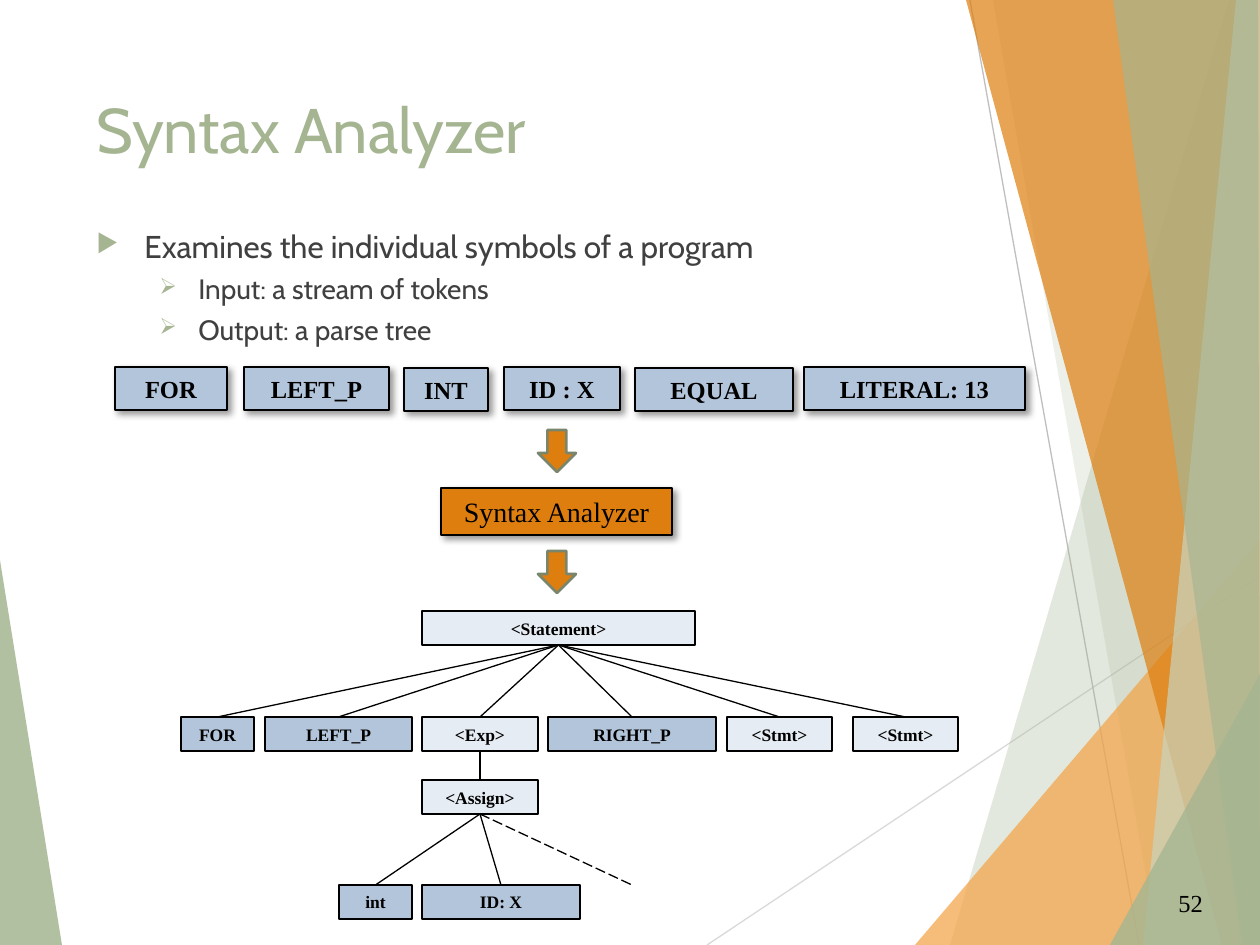
from lxml.etree import SubElement
from pptx import Presentation
from pptx.dml.color import RGBColor
from pptx.enum.dml import MSO_LINE
from pptx.enum.shapes import MSO_CONNECTOR, MSO_SHAPE
from pptx.enum.text import MSO_ANCHOR, PP_ALIGN
from pptx.oxml.ns import qn
from pptx.util import Pt

PX = 914400 / 126
SAGE, ORANGE, BLUE, PALE = "A5B592", "DD7E0E", "B3C5DA", "E6ECF3"
BLACK, DARK = "000000", "404040"
SERIF, SANS = "Times New Roman", "Cabin"


def emu(pixels):
    return round(pixels * PX)


def rgb(code):
    return RGBColor.from_string(code)


def add_xml(parent, tag, **attributes):
    return SubElement(parent, qn(tag), {k: str(v) for k, v in attributes.items()})


def write(frame, text, size=14, font=SERIF, color=BLACK, bold=False,
          align=PP_ALIGN.LEFT, before=0, level=0, indent=None, bullet=None, more=False):
    paragraph = frame.add_paragraph() if more else frame.paragraphs[0]
    paragraph.alignment, paragraph.level = align, level
    paragraph.space_before = Pt(before)
    run = paragraph.add_run()
    run.text = text
    run.font.size, run.font.name, run.font.bold = Pt(size), font, bold
    run.font.color.rgb = rgb(color)
    if bullet:
        props = paragraph._p.get_or_add_pPr()
        left, hanging = indent
        props.set("marL", str(emu(left)))
        props.set("indent", str(-emu(hanging)))
        add_xml(add_xml(props, "a:buClr"), "a:srgbClr", val=SAGE)
        add_xml(props, "a:buSzPct", val=80000)
        add_xml(props, "a:buChar", char=bullet)


class Board:
    def __init__(self, slide):
        self.shapes = slide.shapes

    def paint(self, shape, fill, line=None, width=1, alpha=100):
        shape.shadow.inherit = False
        shape.fill.solid()
        shape.fill.fore_color.rgb = rgb(fill)
        if alpha < 100:
            color = shape._element.spPr.find(qn("a:solidFill"))[0]
            add_xml(color, "a:alpha", val=alpha * 1000)
        if line:
            shape.line.color.rgb = rgb(line)
            shape.line.width = Pt(width)
        else:
            shape.line.fill.background()
        return shape

    def facet(self, points, fill, alpha):
        builder = self.shapes.build_freeform(*points[0], scale=PX)
        builder.add_line_segments(points[1:], close=True)
        self.paint(builder.convert_to_shape(), fill, alpha=alpha)

    def text(self, x, y, w, h):
        frame = self.shapes.add_textbox(*map(emu, (x, y, w, h))).text_frame
        frame.word_wrap = True
        return frame

    def shape(self, kind, x, y, w, h, fill, line=BLACK, width=1):
        shape = self.shapes.add_shape(kind, *map(emu, (x, y, w, h)))
        return self.paint(shape, fill, line, width)

    def box(self, label, x, y, w, h, fill, size, bold=True, width=1, shadow=False):
        box = self.shape(MSO_SHAPE.RECTANGLE, x, y, w, h, fill, width=width)
        frame = box.text_frame
        frame.margin_left = frame.margin_right = frame.margin_top = frame.margin_bottom = 0
        frame.vertical_anchor = MSO_ANCHOR.MIDDLE
        write(frame, label, size=size, bold=bold, align=PP_ALIGN.CENTER)
        if shadow:
            effects = box._element.spPr.find(qn("a:effectLst"))
            outer = add_xml(effects, "a:outerShdw", blurRad=Pt(4), dist=Pt(3),
                            dir=45 * 60000, algn="tl", rotWithShape=0)
            add_xml(add_xml(outer, "a:srgbClr", val=BLACK), "a:alpha", val=40000)
        return box

    def line(self, start, end, color=BLACK):
        line = self.shapes.add_connector(MSO_CONNECTOR.STRAIGHT, *map(emu, start + end))
        line.line.color.rgb = rgb(color)
        line.line.width = Pt(0.75)
        add_xml(line._element.spPr, "a:effectLst")
        return line

    def branch(self, parent, child):
        line = self.line((0, 0), (0, 0))
        line.begin_connect(parent, 2)
        line.end_connect(child, 0)


deck = Presentation()
deck.slide_width, deck.slide_height = emu(1260), emu(945)
board = Board(deck.slides.add_slide(deck.slide_layouts[6]))

# Background facets
board.facet([(0, 560), (62, 945), (0, 945)], SAGE, 85)
board.line((707, 945), (1260, 576), "D9D9D9")
board.line((970, 0), (1139, 945), "BFBFBF")
for points, fill, alpha in [
    ([(1229, 0), (950, 945), (1260, 945), (1260, 0)], SAGE, 30),
    ([(993, 0), (1158, 945), (1260, 945), (1260, 0)], SAGE, 20),
    ([(915, 945), (1260, 540), (1260, 945)], "F3A447", 72),
    ([(966, 0), (1222, 945), (1260, 945), (1260, 0)], ORANGE, 70),
    ([(1236, 0), (1143, 945), (1260, 945), (1260, 0)], "C9D3BE", 70),
    ([(1113, 0), (1242, 945), (1260, 945), (1258, 0)], SAGE, 65),
    ([(1110, 945), (1260, 674), (1260, 945)], SAGE, 80),
]:
    board.facet(points, fill, alpha)

# Page number, title and points
write(board.text(1166, 882, 63, 42), "52")
write(board.text(84, 84, 874, 116), "Syntax Analyzer", size=36, font=SANS, color=SAGE)
points = board.text(84, 221, 932, 204)
write(points, "Examines the individual symbols of a program", size=18, font=SANS,
      color=DARK, before=10, indent=(48, 48), bullet="\u25b6")
for point in ("Input: a stream of tokens", "Output: a parse tree"):
    write(points, point, size=16, font=SANS, color=DARK, before=4, level=1,
          indent=(102, 39), bullet="\u27a2", more=True)

# Token stream
for token, x, y, w in [
    ("FOR", 115, 367, 112), ("LEFT_P", 244, 367, 145), ("INT", 404, 368, 84),
    ("ID : X", 504, 367, 116), ("EQUAL", 635, 368, 158), ("LITERAL: 13", 804, 367, 221),
]:
    board.box(token, x, y, w, 43, BLUE, 14, shadow=True)

# Analyzer between its two arrows
board.box("Syntax Analyzer", 441, 488, 231, 47, ORANGE, 16, bold=False, width=1.5, shadow=True)
for y in (430, 551):
    board.shape(MSO_SHAPE.DOWN_ARROW, 538, y, 38, 42, ORANGE, "7A866C", 1.5)


# Parse tree
def node(label, x, y, w, fill=PALE):
    return board.box(label, x, y, w, 34, fill, 10)


statement = node("<Statement>", 422, 611, 273)
parts = [node(label, x, 717, w, fill) for label, x, w, fill in [
    ("FOR", 181, 73, BLUE), ("LEFT_P", 265, 147, BLUE), ("<Exp>", 422, 116, PALE),
    ("RIGHT_P", 548, 168, BLUE), ("<Stmt>", 727, 105, PALE), ("<Stmt>", 853, 105, PALE),
]]
assign = node("<Assign>", 422, 780, 116)
leaves = [node("int", 339, 885, 73, BLUE), node("ID: X", 422, 885, 158, BLUE)]

for parent, children in [(statement, parts), (parts[2], [assign]), (assign, leaves)]:
    for child in children:
        board.branch(parent, child)
board.line((480, 814), (632, 885)).line.dash_style = MSO_LINE.LONG_DASH

deck.save("out.pptx")
